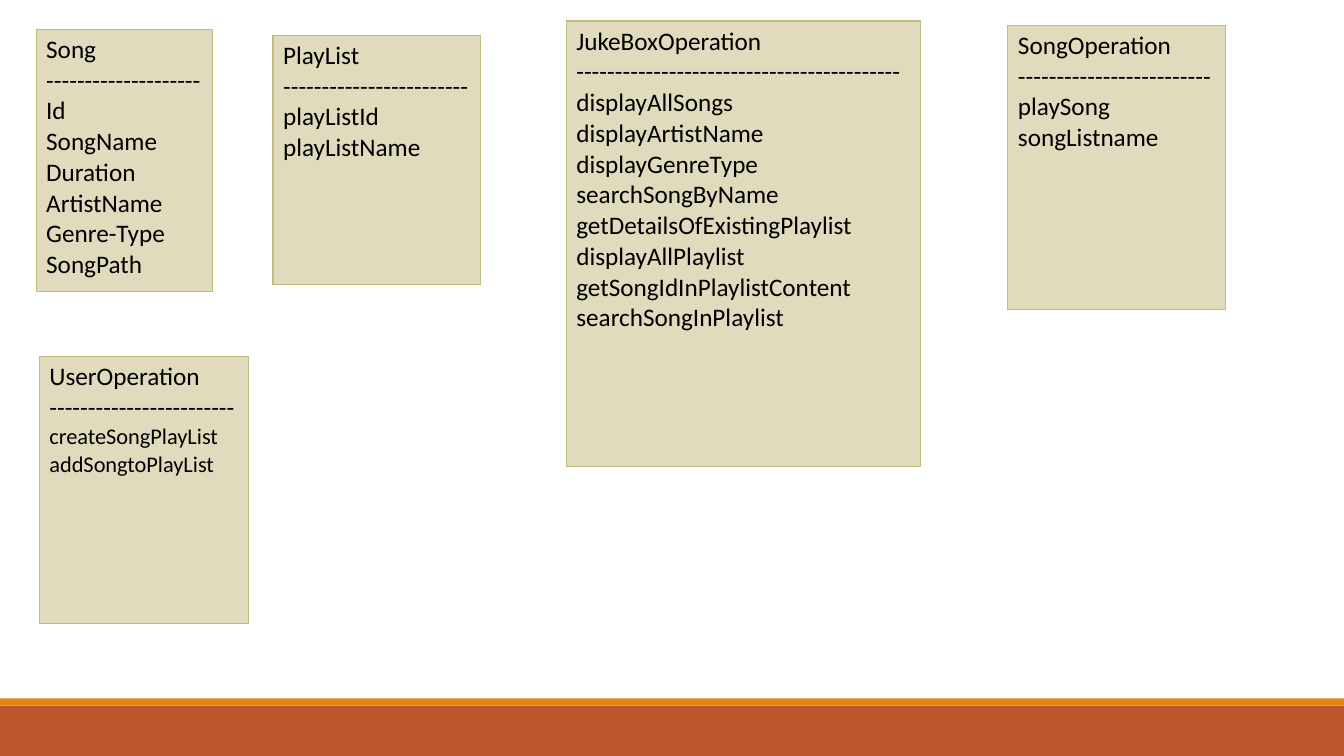
from dataclasses import dataclass

from lxml import etree
from pptx import Presentation
from pptx.dml.color import RGBColor
from pptx.enum.shapes import MSO_SHAPE
from pptx.enum.text import PP_ALIGN
from pptx.oxml.ns import qn
from pptx.util import Cm, Pt

RECTANGLE = MSO_SHAPE.RECTANGLE
LEFT = PP_ALIGN.LEFT
FONT = "Calibri"
COLORS = {
    "text": "000000",
    "card": "E0DBBD",
    "border": "C2BC80",
    "band": "BD582C",
    "stripe": "E48312",
}
SLIDE_WIDTH, SLIDE_HEIGHT = 33.87, 19.05


@dataclass
class Bar:
    top: float
    height: float
    color: str


@dataclass
class ClassCard:
    title: str
    left: float
    top: float
    width: float
    height: float
    dashes: int
    members: list[str]
    member_size: int = 18


BARS = [Bar(17.78, 1.27, "band"), Bar(17.6, 0.18, "stripe")]

CARDS = [
    ClassCard("Song", 0.91, 0.74, 4.45, 6.6, 20,
              ["Id", "SongName", "Duration", "ArtistName", "Genre-Type", "SongPath"]),
    ClassCard("PlayList", 6.88, 0.89, 5.23, 6.27, 24,
              ["playListId", "playListName"]),
    ClassCard("UserOperation", 0.99, 8.99, 5.28, 6.73, 24,
              ["createSongPlayList", "addSongtoPlayList"], member_size=16),
    ClassCard("SongOperation", 25.4, 0.64, 5.49, 7.16, 25,
              ["playSong", "songListname"]),
    ClassCard("JukeBoxOperation", 14.27, 0.53, 8.92, 11.23, 42,
              ["displayAllSongs", "displayArtistName", "displayGenreType",
               "searchSongByName", "getDetailsOfExistingPlaylist",
               "displayAllPlaylist", "getSongIdInPlaylistContent",
               "searchSongInPlaylist"]),
]


def rgb(name: str) -> RGBColor:
    return RGBColor.from_string(COLORS[name])


def write_line(para, text: str, *, size: int = 18, color: str = "text") -> None:
    para.alignment = LEFT
    span = para.add_run()
    span.text = text
    span.font.name = FONT
    span.font.size = Pt(size)
    span.font.color.rgb = rgb(color)


def add_borders(cell, color: str, width: float) -> None:
    """Outline a cell; border elements must precede its fill."""
    properties = cell._tc.get_or_add_tcPr()
    for index, side in enumerate(("lnL", "lnR", "lnT", "lnB")):
        line = etree.Element(qn(f"a:{side}"), w=str(Pt(width)))
        fill = etree.SubElement(line, qn("a:solidFill"))
        etree.SubElement(fill, qn("a:srgbClr"), val=COLORS[color])
        properties.insert(index, line)


def draw_bar(page, bar: Bar) -> None:
    box = page.shapes.add_shape(
        RECTANGLE, 0, Cm(bar.top), Cm(SLIDE_WIDTH), Cm(bar.height))
    box.shadow.inherit = False
    box.fill.solid()
    box.fill.fore_color.rgb = rgb(bar.color)
    box.line.fill.background()


def draw_card(page, card: ClassCard) -> None:
    table = page.shapes.add_table(
        1, 1, Cm(card.left), Cm(card.top), Cm(card.width), Cm(card.height)).table
    table.first_row = False
    table.horz_banding = False
    cell = table.cell(0, 0)
    cell.fill.solid()
    cell.fill.fore_color.rgb = rgb("card")
    add_borders(cell, "border", 1)

    frame = cell.text_frame
    write_line(frame.paragraphs[0], card.title)
    write_line(frame.add_paragraph(), "-" * card.dashes)
    for member in card.members:
        write_line(frame.add_paragraph(), member, size=card.member_size)


def main() -> None:
    deck = Presentation()
    deck.slide_width, deck.slide_height = Cm(SLIDE_WIDTH), Cm(SLIDE_HEIGHT)
    page = deck.slides.add_slide(deck.slide_layouts[6])

    # Footer bars
    for bar in BARS:
        draw_bar(page, bar)

    # Class cards
    for card in CARDS:
        draw_card(page, card)

    deck.save("out.pptx")


if __name__ == "__main__":
    main()
